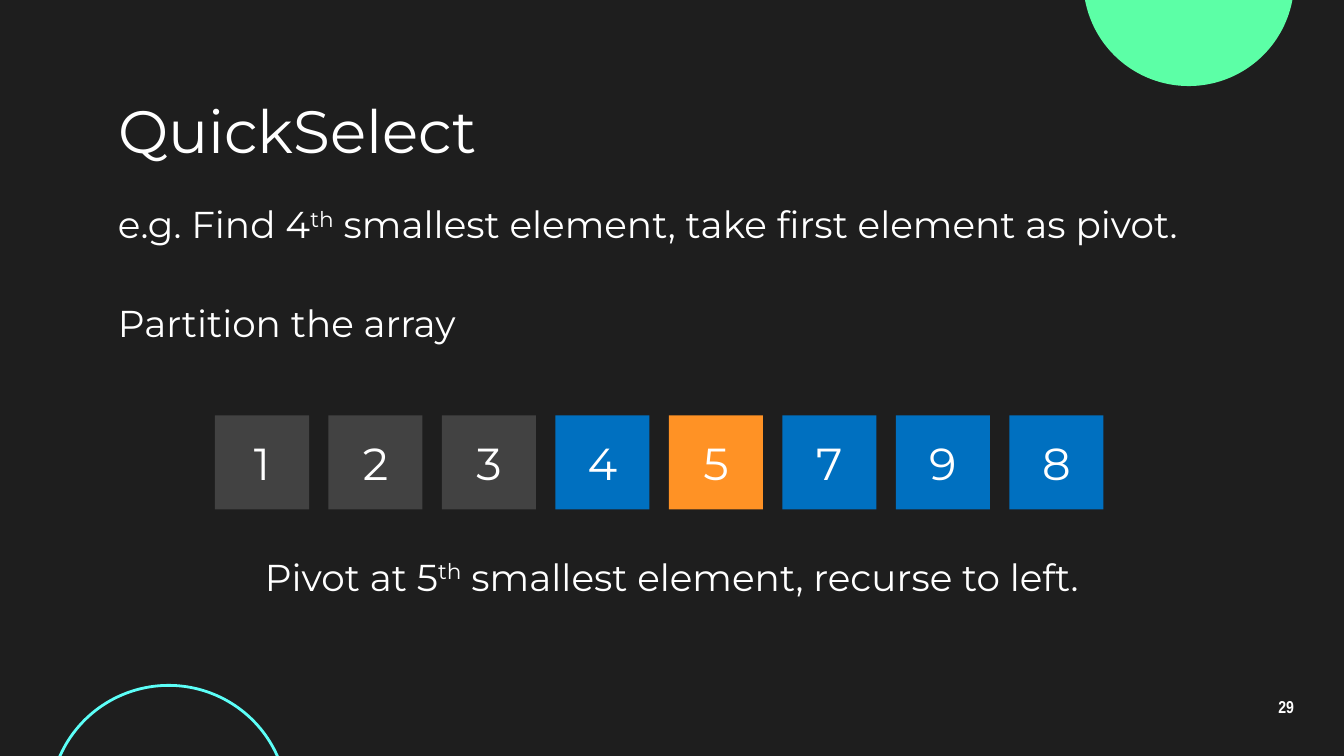
import pptx
import pptx.util
import pptx.dml.color
import pptx.enum.shapes
import pptx.enum.text
from pptx.util import Inches

SHAPE = pptx.enum.shapes.MSO_SHAPE
ALIGN = pptx.enum.text.PP_ALIGN
ANCHOR = pptx.enum.text.MSO_ANCHOR
WHITE = "FFFFFF"


def color(hex_value):
    return pptx.dml.color.RGBColor.from_string(hex_value)


def write(s, runs, size, align=ALIGN.LEFT, anchor=ANCHOR.TOP, font="Montserrat", bold=False):
    """Fill a shape with one paragraph; the run "th" is raised."""
    tf = s.text_frame
    tf.word_wrap = True
    tf.auto_size = pptx.enum.text.MSO_AUTO_SIZE.NONE
    tf.vertical_anchor = anchor
    tf.margin_left = tf.margin_right = tf.margin_top = tf.margin_bottom = Inches(0.1)
    p = tf.paragraphs[0]
    p.alignment = align
    for text in runs:
        r = p.add_run()
        r.text = text
        r.font.name = font
        r.font.size = pptx.util.Pt(size)
        r.font.bold = bold
        r.font.color.rgb = color(WHITE)
        if text == "th":
            r.font._element.set("baseline", "30000")
    return p


# Widescreen slide, 16:9
prs = pptx.Presentation()
prs.slide_width = Inches(10)
prs.slide_height = Inches(10 * 9 / 16)
slide = prs.slides.add_slide(prs.slide_layouts[5])
slide.background.fill.solid()
slide.background.fill.fore_color.rgb = color("1E1E1E")

# Corner circles
s = slide.shapes.add_shape(SHAPE.OVAL, Inches(8.06), Inches(-0.93), Inches(1.57), Inches(1.57))
s.shadow.inherit = False
s.fill.solid()
s.fill.fore_color.rgb = color("5CFFA6")
s.line.fill.background()

s = slide.shapes.add_shape(SHAPE.OVAL, Inches(0.37), Inches(5.1), Inches(1.77), Inches(1.77))
s.shadow.inherit = False
s.fill.background()
s.line.color.rgb = color("5CFFF8")
s.line.width = pptx.util.Pt(1.5)

# Title
s = slide.shapes.title
s.left, s.top, s.width, s.height = Inches(0.78), Inches(0.71), Inches(8.44), Inches(0.51)
write(s, ["QuickSelect"], 32, anchor=ANCHOR.MIDDLE)

# Array after partitioning: left part, pivot, right part
gray, blue, orange = "424242", "0070C0", "FF9225"
cells = [("1", gray), ("2", gray), ("3", gray), ("4", blue),
         ("5", orange), ("7", blue), ("9", blue), ("8", blue)]
pitch = (7.51 - 1.6) / (len(cells) - 1)
for i, (number, fill) in enumerate(cells):
    s = slide.shapes.add_shape(SHAPE.RECTANGLE, Inches(1.6 + i * pitch), Inches(3.09),
                               Inches(0.7), Inches(0.7))
    s.shadow.inherit = False
    s.fill.solid()
    s.fill.fore_color.rgb = color(fill)
    s.line.fill.background()
    write(s, [number], 24, ALIGN.CENTER, ANCHOR.MIDDLE)

# Explanations
explanations = [
    (0.78, 1.4, 1.08, ALIGN.LEFT,
     ["e.g. Find 4", "th", " smallest element, take first element as pivot."]),
    (0.78, 2.13, 0.69, ALIGN.LEFT, ["Partition the array"]),
    (0.68, 4.02, 0.69, ALIGN.CENTER,
     ["Pivot at 5", "th", " smallest element, recurse to left."]),
]
for left, top, height, align, runs in explanations:
    s = slide.shapes.add_textbox(Inches(left), Inches(top), Inches(8.64), Inches(height))
    write(s, runs, 20, align)

# Slide number
s = slide.shapes.add_textbox(Inches(9.27), Inches(5.1), Inches(0.6), Inches(0.34))
p = write(s, ["29"], 9.2, ALIGN.CENTER, ANCHOR.MIDDLE, "Arial Narrow", True)
p.line_spacing = 0.9

prs.save("out.pptx")
